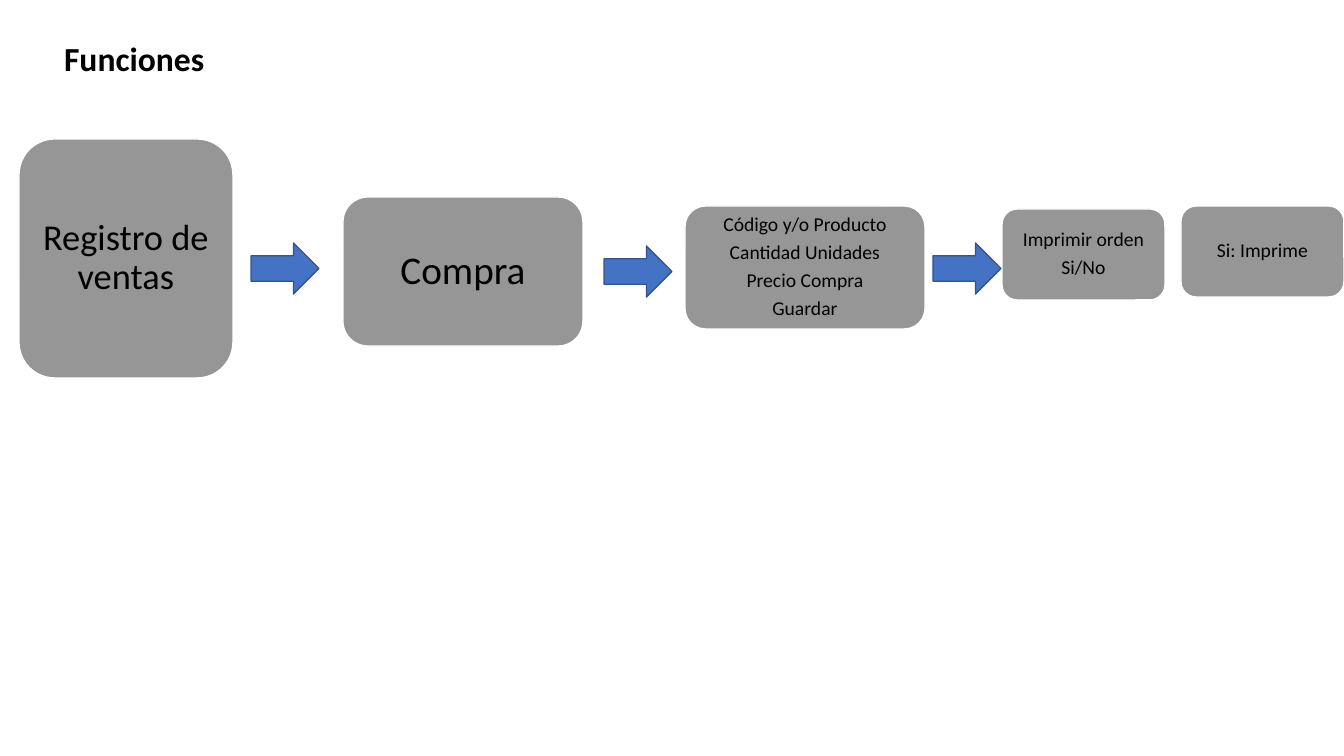
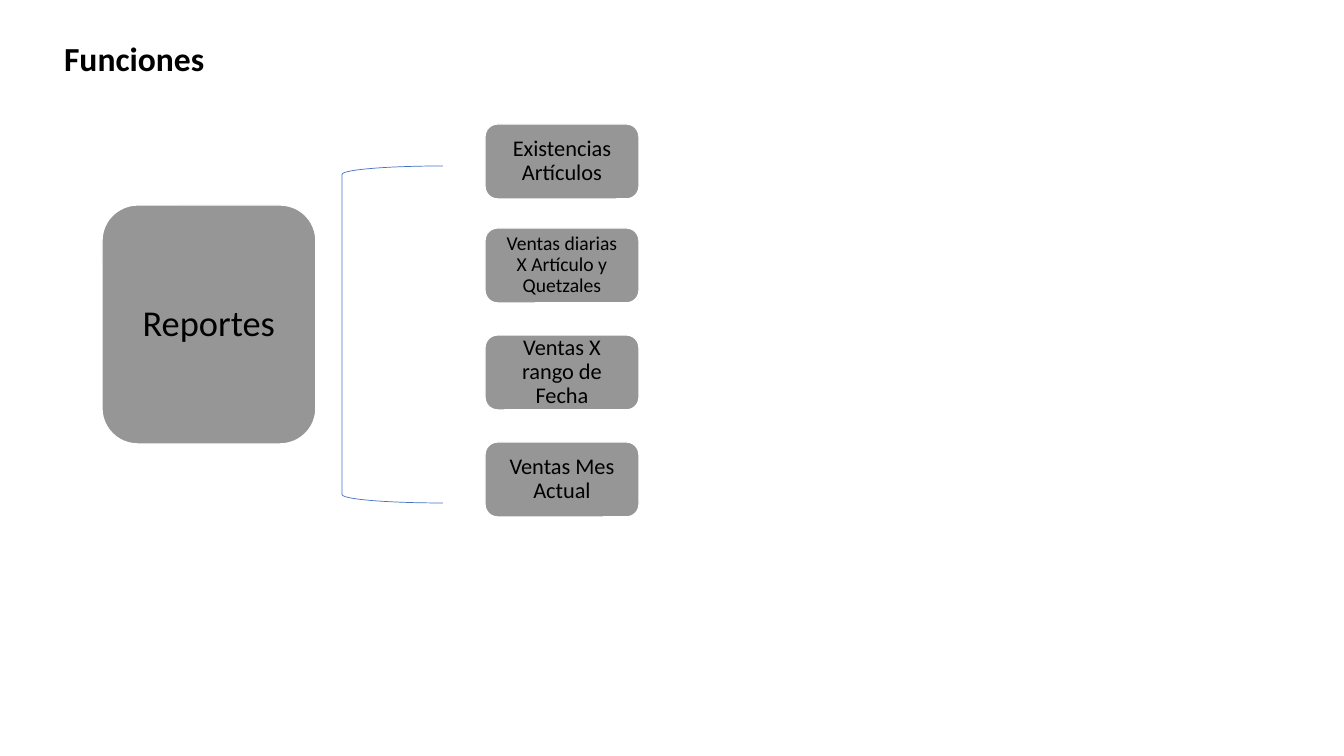
import pptx
import pptx.util
import pptx.dml.color
import pptx.enum.shapes
import pptx.enum.text

PX = 914400 / 100.8
FONT = "Calibri"
COLORS = {"text": "000000", "box": "969696", "border": "FFFFFF",
          "accent": "4472C4", "accent_dark": "325491"}
SHAPES = pptx.enum.shapes.MSO_SHAPE
ALIGN = pptx.enum.text.PP_ALIGN
ANCHOR = pptx.enum.text.MSO_ANCHOR


def px(n):
    """Turn pixels into EMU."""
    return pptx.util.Emu(round(n * PX))


def color(name):
    """Return a named colour."""
    return pptx.dml.color.RGBColor.from_string(COLORS[name])


def set_font(p, size, bold=False):
    """Format the font of a paragraph."""
    p.font.name = FONT
    p.font.size = pptx.util.Pt(size)
    p.font.bold = bold
    p.font.color.rgb = color("text")


def add_slide(prs, title):
    """Add a title-only slide with its heading."""
    s = prs.slides.add_slide(prs.slide_layouts[5])
    sp = s.shapes.title
    sp.left, sp.top, sp.width, sp.height = map(px, (54, 33, 524, 50))
    tf = sp.text_frame
    tf.text = title
    tf.auto_size = pptx.enum.text.MSO_AUTO_SIZE.NONE
    tf.vertical_anchor = ANCHOR.TOP
    p = tf.paragraphs[0]
    p.alignment = ALIGN.LEFT
    set_font(p, 24, bold=True)
    return s


def add_shape(s, kind, bounds, fill, line, width):
    """Add a flat preset shape; a fill of None leaves it open."""
    sp = s.shapes.add_shape(kind, *map(px, bounds))
    sp.shadow.inherit = False
    if fill:
        sp.fill.solid()
        sp.fill.fore_color.rgb = color(fill)
    else:
        sp.fill.background()
    sp.line.color.rgb = color(line)
    sp.line.width = pptx.util.Pt(width)
    return sp


def add_box(s, bounds, lines, size):
    """Add a grey rounded box with one centred paragraph per line."""
    sp = add_shape(s, SHAPES.ROUNDED_RECTANGLE, bounds, "box", "border", 1)
    tf = sp.text_frame
    tf.word_wrap = True
    tf.vertical_anchor = ANCHOR.MIDDLE
    tf.margin_left = tf.margin_right = tf.margin_top = tf.margin_bottom = px(11)
    tf.text = "\n".join(lines)
    for p in tf.paragraphs:
        p.alignment = ALIGN.CENTER
        p.line_spacing = 0.9
        p.space_after = pptx.util.Pt(round(0.35 * size, 1))
        set_font(p, size)


def add_arrow(s, left, top):
    """Add a blue block arrow between two steps."""
    add_shape(s, SHAPES.RIGHT_ARROW, (left, top, 68, 51), "accent", "accent_dark", 1)


def build_sales(prs):
    """Build the flow of the sales register."""
    s = add_slide(prs, "Funciones")
    steps = [
        ((19, 139, 214, 239), ["Registro de ventas"], 26),
        ((343, 197, 240, 149), ["Compra"], 28),
        ((685, 206, 240, 123), ["Código y/o Producto", "Cantidad Unidades",
                                "Precio Compra", "Guardar"], 14),
        ((1002, 209, 163, 91), ["Imprimir orden", "Si/No"], 14),
        ((1181, 206, 163, 91), ["Si: Imprime"], 14),
    ]
    for bounds, lines, size in steps:
        add_box(s, bounds, lines, size)
    for left, top in ((251, 243), (604, 246), (933, 243)):
        add_arrow(s, left, top)


def build_reports(prs):
    """Build the bracketed list of reports."""
    s = add_slide(prs, "Funciones")
    add_box(s, (102, 205, 214, 239), ["Reportes"], 26)
    reports = [
        (124, "Existencias Artículos", 16),
        (228, "Ventas diarias X Artículo y Quetzales", 14),
        (335, "Ventas X rango de Fecha", 16),
        (442, "Ventas Mes Actual", 16),
    ]
    for top, label, size in reports:
        add_box(s, (485, top, 154, 75), [label], size)
    add_shape(s, SHAPES.LEFT_BRACKET, (342, 166, 101, 337), None, "accent", 0.5)


def main():
    """Build and save the presentation."""
    prs = pptx.Presentation()
    prs.slide_width, prs.slide_height = px(1344), px(756)
    build_sales(prs)
    build_reports(prs)
    prs.save("out.pptx")


main()
